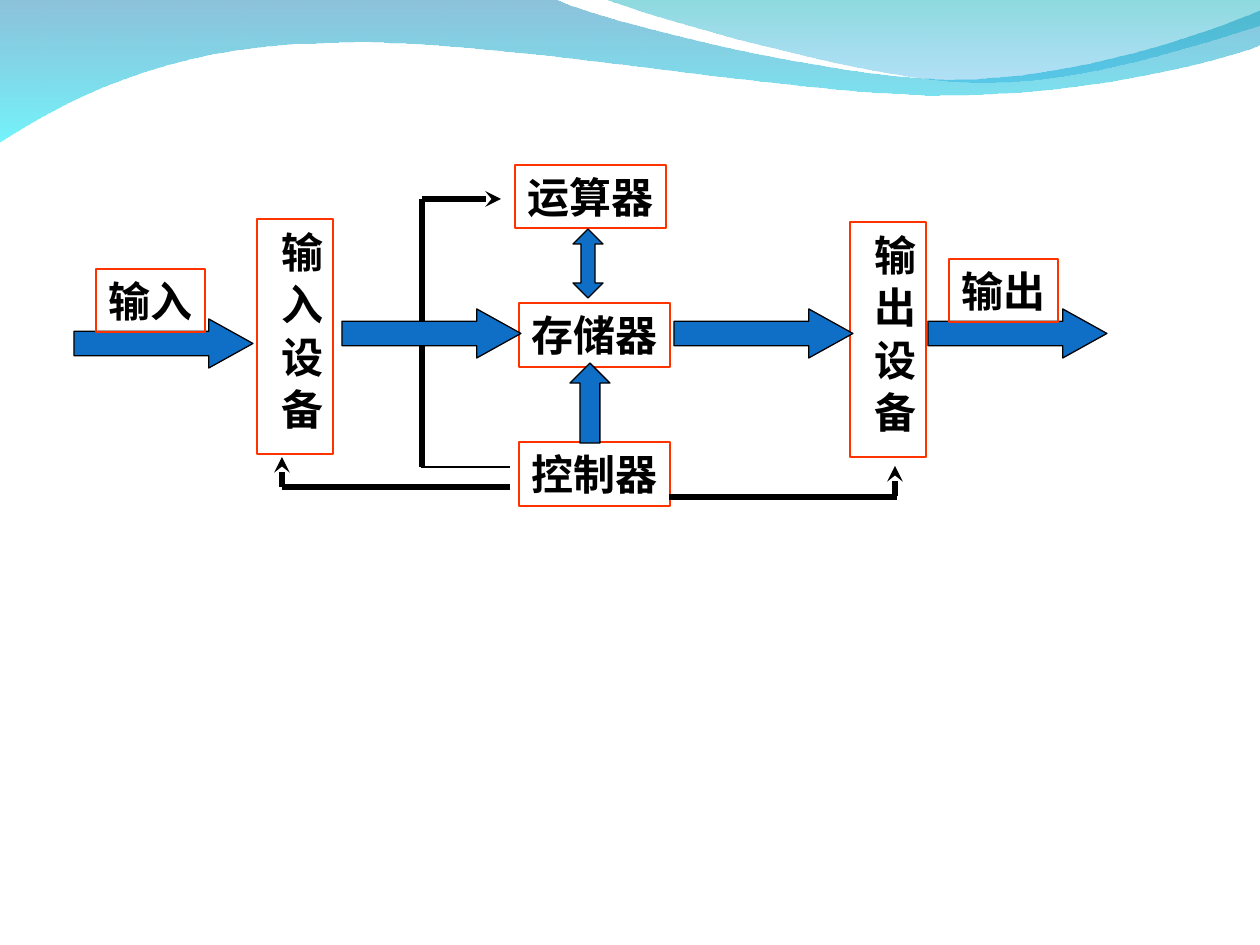
from pptx import Presentation
from pptx import util as u
from pptx.dml.color import RGBColor
from pptx.enum import shapes, text
from pptx.oxml.ns import qn
from lxml import etree

PX = 914400 / 126
KIND = shapes.MSO_SHAPE


def px(n):
    """Turn px into EMU."""
    return u.Emu(round(n * PX))


def tint(color, code):
    """Set a colour from a hex string."""
    color.rgb = RGBColor.from_string(code)


def edge(line, code, width):
    """Give a line its colour and width."""
    tint(line.color, code)
    line.width = u.Pt(width)


def point(shape, kind):
    """Put an arrowhead at the end of a line."""
    ln = shape.element.spPr.find(qn("a:ln"))
    etree.SubElement(ln, qn("a:tailEnd")).set("type", kind)


def bend(shape, parts):
    """Turn each run of three line steps into one cubic curve."""
    steps = iter(list(shape.element.iter(qn("a:lnTo"))))
    for part in parts:
        nodes = [next(steps) for _ in part]
        if len(nodes) == 3:
            cubic = etree.Element(qn("a:cubicBezTo"))
            nodes[0].addprevious(cubic)
            for node in nodes:
                cubic.append(node[0])
                node.getparent().remove(node)


def wave(pool, start, parts, stops):
    """Draw a closed wave of lines and curves with a clear gradient."""
    pen = pool.build_freeform(*start, scale=PX)
    pen.add_line_segments([dot for part in parts for dot in part], close=True)
    shape = pen.convert_to_shape()
    bend(shape, parts)
    shape.shadow.inherit = False
    shape.line.fill.background()
    shape.fill.gradient()
    shape.fill.gradient_angle = 270
    for stop, (code, _) in zip(shape.fill.gradient_stops, stops):
        tint(stop.color, code)
    for node, (_, part) in zip(shape.element.iter(qn("a:srgbClr")), stops):
        etree.SubElement(node, qn("a:alpha")).set("val", str(part * 1000))


def box(pool, words, x, y, w, h, width=1.5, down=False):
    """Draw a red frame with a bold label, set downwards if asked."""
    shape = pool.add_shape(KIND.RECTANGLE, *map(px, (x, y, w, h)))
    shape.shadow.inherit = False
    shape.fill.background()
    edge(shape.line, "FF3300", width)
    frame = shape.text_frame
    frame.word_wrap = down
    frame.vertical_anchor = text.MSO_ANCHOR.TOP
    wide, thin = u.Inches(0.1), u.Inches(0.05)
    side, top = (thin, wide) if down else (wide, thin)
    frame.margin_left = frame.margin_right = side
    frame.margin_top = frame.margin_bottom = top
    if down:
        shape.element.txBody.find(qn("a:bodyPr")).set("vert", "eaVert")
    para = frame.paragraphs[0]
    para.alignment = text.PP_ALIGN.CENTER if down else text.PP_ALIGN.LEFT
    run = para.add_run()
    run.text = words
    run.font.name = "Arial"
    run.font.size = u.Pt(24)
    run.font.bold = True
    tint(run.font.color, "000000")


def arrow(pool, kind, x, y, w, h, head):
    """Draw a blue block arrow with the given head length."""
    shape = pool.add_shape(kind, *map(px, (x, y, w, h)))
    shape.shadow.inherit = False
    shape.adjustments[0] = 0.5
    shape.adjustments[1] = head
    shape.fill.solid()
    tint(shape.fill.fore_color, "0F6FC6")
    edge(shape.line, "000000", 0.75)


def stem(pool, x1, y1, x2, y2):
    """Draw an open outline with a triangle tip."""
    pen = pool.build_freeform(x1, y1, scale=PX)
    pen.add_line_segments([(x2, y2)], close=False)
    shape = pen.convert_to_shape()
    shape.shadow.inherit = False
    shape.fill.background()
    edge(shape.line, "000000", 3)
    point(shape, "triangle")


def wire(pool, x1, y1, x2, y2, width=3, tip=False):
    """Draw a straight black line, with a stealth tip if asked."""
    line = pool.add_connector(
        shapes.MSO_CONNECTOR.STRAIGHT, *map(px, (x1, y1, x2, y2)))
    edge(line.line, "000000", width)
    if tip:
        point(line, "stealth")
    etree.SubElement(line.element.spPr, qn("a:effectLst"))


def main():
    """Build the slide and save it."""
    deck = Presentation()
    deck.slide_width, deck.slide_height = px(1260), px(945)
    slide = deck.slides.add_slide(deck.slide_layouts[6])

    wave(slide.shapes, (0, 0), [
        [(554, -1)],
        [(600, 21), (837, 79), (955, 79)],
        [(1075, 79), (1207, 33), (1260, 11)],
        [(1261, 45)],
        [(1239, 55), (1096, 96), (940, 95)],
        [(784, 95), (481, 35), (324, 43)],
        [(163, 45), (58, 105), (-1, 142)],
    ], [("0079AF", 45), ("00EBF8", 55)])
    wave(slide.shapes, (604, -1), [
        [(641, 14), (859, 78), (969, 82)],
        [(1079, 87), (1211, 40), (1260, 26)],
        [(1260, 0)],
    ], [("00ADB6", 45), ("009BE5", 30)])

    pool = slide.shapes.add_group_shape().shapes
    box(pool, "输 入 设 备", 257, 219, 76, 235, down=True)
    box(pool, "运算器", 515, 165, 151, 63, width=0.75)
    for words, y in (("存储器", 303), ("控制器", 442)):
        box(pool, words, 519, y, 151, 64)
    box(pool, "输 出 设 备", 850, 222, 76, 235, down=True)

    stem(pool, 590, 378, 591, 435)
    wire(pool, 510, 467, 421, 467, width=0.75)
    wire(pool, 422, 467, 422, 199)
    wire(pool, 422, 199, 501, 199, tip=True)
    wire(pool, 282, 487, 510, 487)
    wire(pool, 669, 497, 897, 497)
    wire(pool, 282, 487, 282, 457, tip=True)
    wire(pool, 895, 496, 895, 466, tip=True)

    for x, y in ((74, 319), (342, 309), (674, 309), (928, 309)):
        arrow(pool, KIND.RIGHT_ARROW, x, y, 179, 49, 0.9)
    arrow(pool, KIND.UP_DOWN_ARROW, 573, 229, 30, 69, 0.47)
    box(pool, "输入", 96, 269, 109, 63)
    box(pool, "输出", 949, 259, 109, 63)
    arrow(slide.shapes, KIND.UP_ARROW, 570, 363, 40, 80, 0.5)

    deck.save("out.pptx")


if __name__ == "__main__":
    main()
